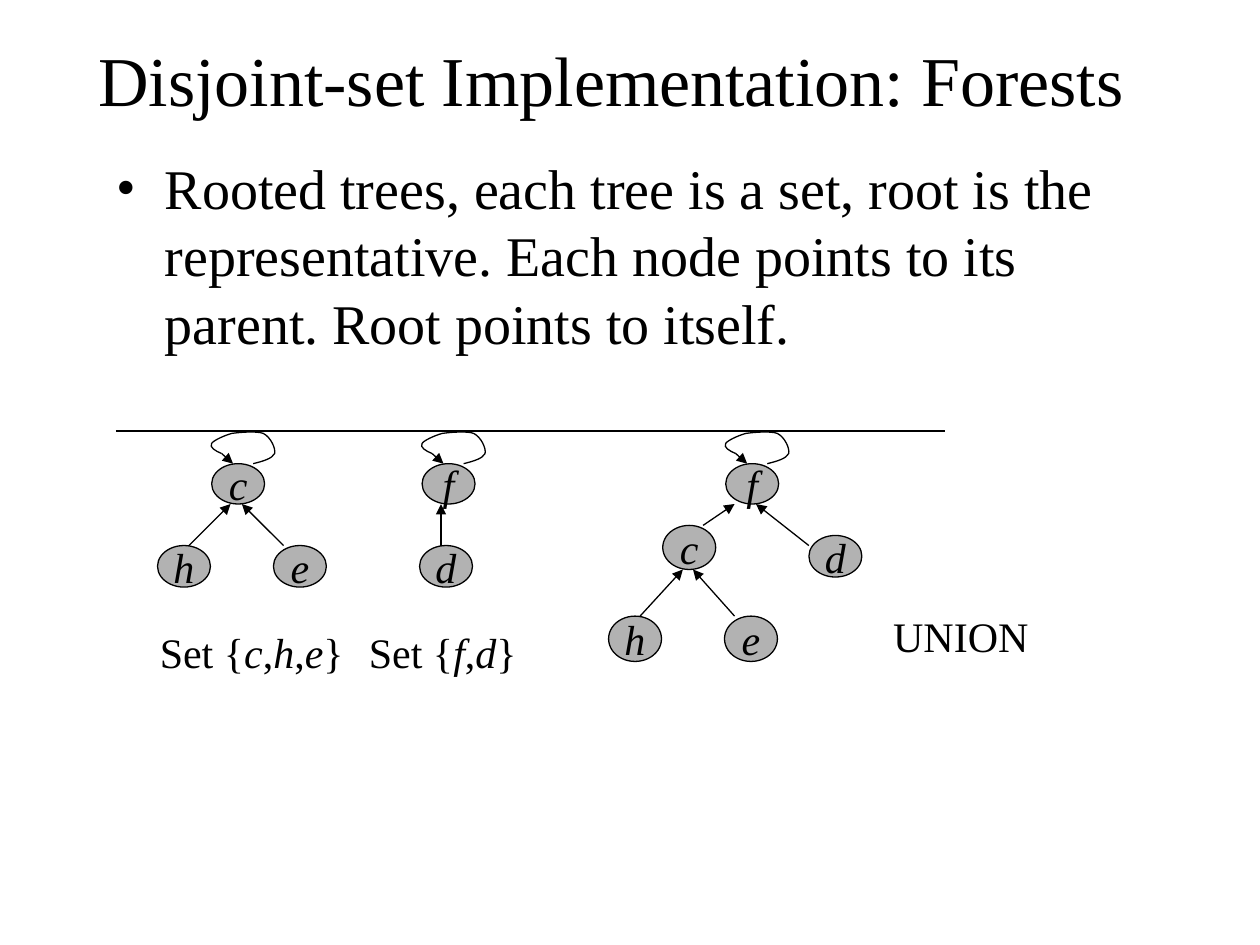
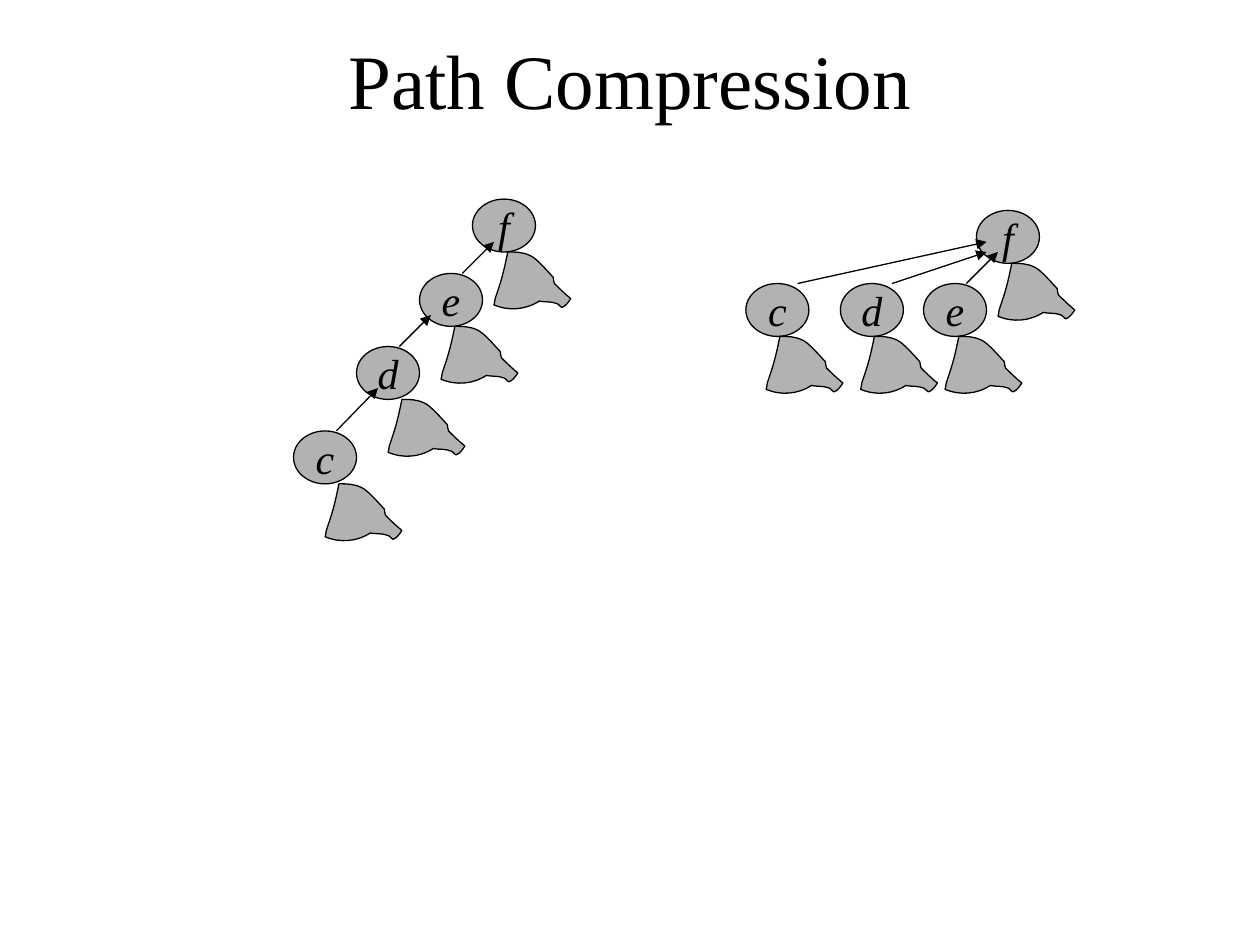
from dataclasses import dataclass

from pptx import Presentation
from pptx.dml.color import RGBColor
from pptx.enum import shapes, text
from pptx.oxml import ns, xmlchemy
from pptx.util import Inches, Pt


@dataclass(frozen=True)
class Theme:
    """Colours, font and sizes shared by the deck."""
    font: str = "Times New Roman"
    ink: RGBColor = RGBColor(0, 0, 0)
    node: RGBColor = RGBColor(0xB2, 0xB2, 0xB2)
    paper: RGBColor = RGBColor(255, 255, 255)
    title: int = 44
    long_title: int = 40
    body: int = 32
    label: int = 24
    line: float = 0.75


THEME = Theme()
NODE_WIDTH = 0.42
BIG_NODE = (0.5, 0.42)

LOOP_START = (0.33, 0)
LOOP_CURVES = [
    (0.41, -0.02, 0.48, -0.04, 0.50, -0.08),
    (0.51, -0.12, 0.47, -0.21, 0.41, -0.24),
    (0.36, -0.26, 0.23, -0.25, 0.16, -0.24),
    (0.09, -0.22, 0.01, -0.18, 0, -0.16),
    (-0.02, -0.13, 0.03, -0.10, 0.08, -0.08),
]
SUBTREE_START = (0.11, 0)
SUBTREE_CURVES = [
    (0.09, 0.10, 0.07, 0.19, 0.04, 0.28),
    (0.03, 0.31, 0.02, 0.34, 0.01, 0.37),
    (0.01, 0.39, 0, 0.42, 0, 0.42),
    (0.12, 0.47, 0.25, 0.46, 0.36, 0.39),
    (0.40, 0.40, 0.45, 0.39, 0.50, 0.41),
    (0.51, 0.41, 0.53, 0.44, 0.54, 0.44),
    (0.57, 0.43, 0.59, 0.40, 0.61, 0.37),
    (0.56, 0.33, 0.52, 0.29, 0.48, 0.25),
    (0.47, 0.24, 0.48, 0.22, 0.47, 0.20),
    (0.44, 0.17, 0.34, 0.05, 0.29, 0.03),
    (0.23, 0, 0.17, 0, 0.11, 0),
]


def add_element(parent, tag, **attributes):
    """Append a drawing element with the given attributes."""
    element = xmlchemy.OxmlElement(tag)
    for name, value in attributes.items():
        element.set(name, str(value))
    parent.append(element)


def add_span(para, words, size, italic=False):
    """Add one run in the theme font."""
    span = para.add_run()
    span.text = words
    span.font.name = THEME.font
    span.font.size = Pt(size)
    span.font.italic = italic
    span.font.color.rgb = THEME.ink


def add_box(page, left, top, width, height, wrap=True):
    """Add a text box and return it with its first paragraph."""
    box = page.shapes.add_textbox(*map(Inches, (left, top, width, height)))
    box.text_frame.word_wrap = wrap
    return box, box.text_frame.paragraphs[0]


def add_title(page, left, words, size):
    """Add the centred slide title."""
    box, para = add_box(page, left, 0, 8.5, 1.25)
    box.text_frame.vertical_anchor = text.MSO_ANCHOR.MIDDLE
    para.alignment = text.PP_ALIGN.CENTER
    add_span(para, words, size)


def add_bullet(page, left, top, width, height, words):
    """Add a paragraph with a round bullet and hanging indent."""
    _, para = add_box(page, left, top, width, height)
    para.space_before = Pt(8)
    add_span(para, words, THEME.body)
    props = para._p.get_or_add_pPr()
    props.set("marL", str(Inches(0.38)))
    props.set("indent", str(-Inches(0.38)))
    add_element(props, "a:buFont", typeface=THEME.font)
    add_element(props, "a:buChar", char="•")


def add_label(page, left, top, width, words, members=""):
    """Add a label, listing any set members in italics between braces."""
    box, para = add_box(page, left, top, width, 0.5, wrap=False)
    box.text_frame.auto_size = text.MSO_AUTO_SIZE.SHAPE_TO_FIT_TEXT
    add_span(para, words + (" {" if members else ""), THEME.label)
    for index, member in enumerate(members):
        if index:
            add_span(para, ",", THEME.label)
        add_span(para, member, THEME.label, italic=True)
    if members:
        add_span(para, "}", THEME.label)


def style_outline(shape, filled=True):
    """Give a shape the thin outline and, if wanted, the node fill."""
    shape.shadow.inherit = False
    if filled:
        shape.fill.solid()
        shape.fill.fore_color.rgb = THEME.node
    else:
        shape.fill.background()
    shape.line.color.rgb = THEME.ink
    shape.line.width = Pt(THEME.line)


def add_line(page, start, end, arrow=True):
    """Add a straight line, with an arrowhead at its end by default."""
    line = page.shapes.add_connector(
        shapes.MSO_CONNECTOR.STRAIGHT, *map(Inches, (*start, *end)))
    line.line.color.rgb = THEME.ink
    line.line.width = Pt(THEME.line)
    props = line._element.spPr
    if arrow:
        add_element(props.find(ns.qn("a:ln")), "a:tailEnd", type="triangle")
    add_element(props, "a:effectLst")


def add_node(page, left, top, size, letter):
    """Add an ellipse holding one italic letter."""
    node = page.shapes.add_shape(
        shapes.MSO_SHAPE.OVAL, *map(Inches, (left, top, *size)))
    style_outline(node)
    node.text_frame.word_wrap = False
    node.text_frame.vertical_anchor = text.MSO_ANCHOR.MIDDLE
    para = node.text_frame.paragraphs[0]
    para.alignment = text.PP_ALIGN.CENTER
    add_span(para, letter, THEME.label, italic=True)


def add_curve(page, left, top, start, curves, closed):
    """Add an outline of cubic curves, filled when it is closed."""
    def place(x, y):
        """Turn a point of the outline into a point of the page."""
        return Inches(left + x), Inches(top + y)

    builder = page.shapes.build_freeform(*place(*start))
    builder.add_line_segments([place(*curve[4:]) for curve in curves],
                              close=closed)
    outline = builder.convert_to_shape()
    style_outline(outline, filled=closed)
    segments = list(outline._element.iter(ns.qn("a:lnTo")))
    for segment, curve in zip(segments, curves):
        cubic = xmlchemy.OxmlElement("a:cubicBezTo")
        for index in (0, 2, 4):
            x, y = place(*curve[index:index + 2])
            add_element(cubic, "a:pt", x=x - outline.left, y=y - outline.top)
        segment.getparent().replace(segment, cubic)


def add_root_loop(page, left, top):
    """Add the arrow from a root node back to itself."""
    add_curve(page, left, top, LOOP_START, LOOP_CURVES, closed=False)
    add_line(page, (left + 0.08, top - 0.08), (left + 0.17, top))


def add_tree(page, left, top, nodes, edges):
    """Add nodes and their parent arrows, and return the node corners."""
    corners = {}
    for letter, (dx, dy, size) in nodes.items():
        corners[letter] = (left + dx, top + dy)
        add_node(page, *corners[letter], size, letter)
    for child, child_offset, parent, parent_offset in edges:
        add_line(page,
                 [a + b for a, b in zip(corners[child], child_offset)],
                 [a + b for a, b in zip(corners[parent], parent_offset)])
    return corners


def add_rooted_tree(page, left, top, root, nodes, edges):
    """Add a tree of small nodes whose root points to itself."""
    sized = {letter: (dx, dy, (NODE_WIDTH, height))
             for letter, (dx, dy, height) in nodes.items()}
    add_root_loop(page, *add_tree(page, left, top, sized, edges)[root])


def add_subtree_tree(page, left, top, nodes, edges):
    """Add a tree of big nodes, each with a subtree hanging below it."""
    sized = {letter: (dx, dy, BIG_NODE)
             for letter, (dx, dy, _) in nodes.items()}
    corners = add_tree(page, left, top, sized, edges)
    for letter, (_, _, shift) in nodes.items():
        x, y = corners[letter]
        add_curve(page, x + shift, y + BIG_NODE[1],
                  SUBTREE_START, SUBTREE_CURVES, closed=True)


def build_forests(page):
    """Build the slide on disjoint-set forests."""
    add_title(page, 0.67, "Disjoint-set Implementation: Forests ",
              THEME.long_title)
    add_bullet(page, 0.83, 1.17, 8.5, 1.83,
               "Rooted trees, each tree is a set, root is the representative. "
               "Each node points to its parent. Root points to itself.")
    add_line(page, (0.92, 3.42), (7.5, 3.42), arrow=False)
    add_rooted_tree(
        page, 1.25, 3.68, "c",
        {"c": (0.43, 0, 0.32), "h": (0, 0.65, 0.33), "e": (0.92, 0.65, 0.33)},
        [("h", (0.25, 0), "c", (0.15, 0.32)),
         ("e", (0.08, 0), "c", (0.24, 0.32))])
    add_rooted_tree(
        page, 3.33, 3.68, "f",
        {"f": (0.02, 0, 0.32), "d": (0, 0.65, 0.33)},
        [("d", (0.17, 0), "f", (0.15, 0.32))])
    add_rooted_tree(
        page, 4.83, 3.68, "f",
        {"f": (0.93, 0, 0.32), "c": (0.43, 0.49, 0.35),
         "d": (1.59, 0.57, 0.33), "h": (0, 1.21, 0.36),
         "e": (0.92, 1.21, 0.36)},
        [("c", (0.32, 0), "f", (0.07, 0.32)),
         ("d", (0, 0.08), "f", (0.24, 0.32)),
         ("h", (0.25, 0), "c", (0.16, 0.35)),
         ("e", (0.08, 0), "c", (0.24, 0.35))])
    add_label(page, 1.17, 4.92, 1.66, "Set", "che")
    add_label(page, 2.83, 4.92, 1.37, "Set", "fd")
    add_label(page, 6.99, 4.8, 1.3, "UNION")


def build_compression(page):
    """Build the slide on path compression."""
    add_title(page, 0.75, "Path Compression", THEME.title)
    add_subtree_tree(
        page, 2.33, 1.58,
        {"f": (1.42, 0, 0.17), "e": (1, 0.59, 0.17),
         "d": (0.5, 1.17, 0.25), "c": (0, 1.84, 0.25)},
        [("e", (0.34, 0), "f", (0.17, 0.34)),
         ("d", (0.34, 0), "e", (0.09, 0.33)),
         ("c", (0.34, 0), "d", (0.17, 0.33))])
    add_subtree_tree(
        page, 5.92, 1.67,
        {"f": (1.83, 0, 0.17), "e": (1.41, 0.58, 0.17),
         "d": (0.75, 0.58, 0.16), "c": (0, 0.58, 0.16)},
        [("e", (0.34, 0), "f", (0.17, 0.33)),
         ("d", (0.41, 0), "f", (0.08, 0.33)),
         ("c", (0.41, 0), "f", (0.08, 0.25))])


def main():
    """Build and save the deck."""
    deck = Presentation()
    deck.slide_width, deck.slide_height = Inches(10), Inches(7.5)
    for build in (build_forests, build_compression):
        page = deck.slides.add_slide(deck.slide_layouts[6])
        page.background.fill.solid()
        page.background.fill.fore_color.rgb = THEME.paper
        build(page)
    deck.save("out.pptx")


if __name__ == "__main__":
    main()
